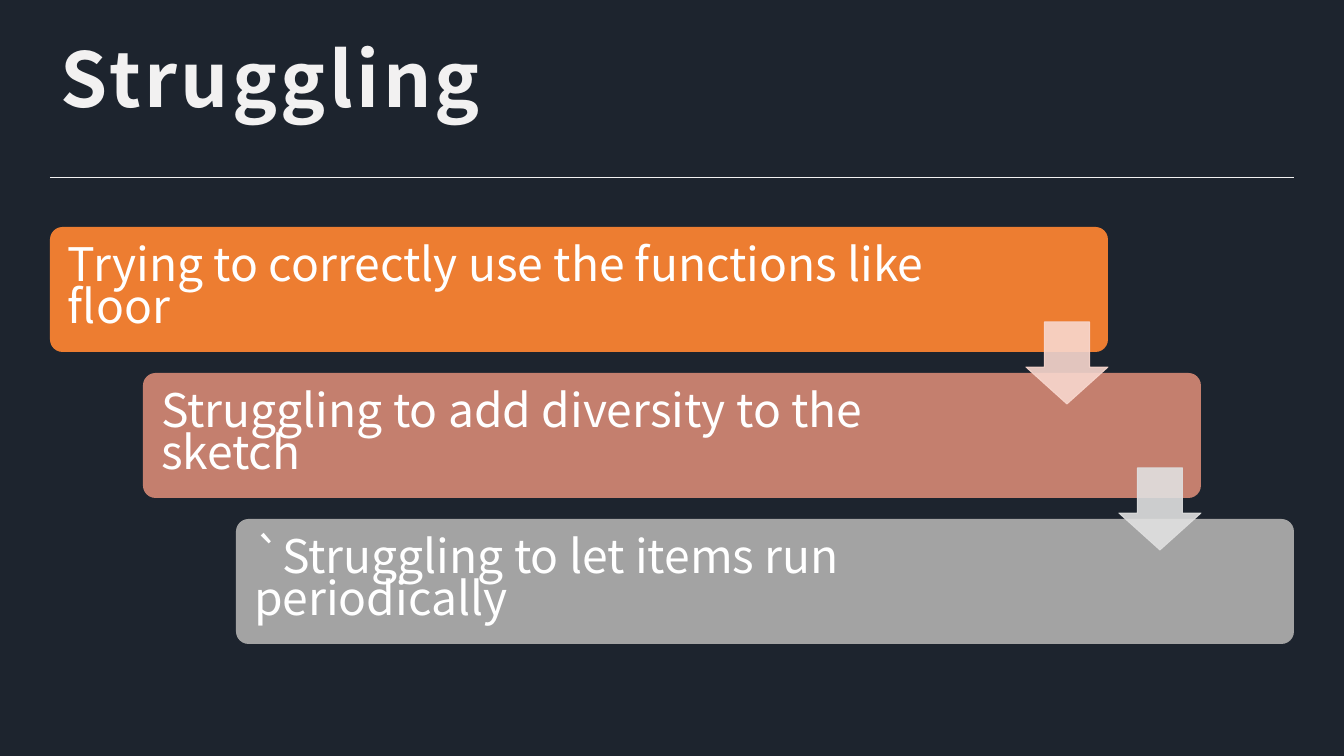
from lxml import etree
from pptx import Presentation
from pptx.dml.color import RGBColor
from pptx.enum.shapes import MSO_CONNECTOR, MSO_SHAPE
from pptx.enum.text import MSO_ANCHOR
from pptx.oxml.ns import qn
from pptx.util import Emu, Pt

ROUNDED = MSO_SHAPE.ROUNDED_RECTANGLE
DOWN_ARROW = MSO_SHAPE.DOWN_ARROW
STRAIGHT = MSO_CONNECTOR.STRAIGHT
MIDDLE, BOTTOM = MSO_ANCHOR.MIDDLE, MSO_ANCHOR.BOTTOM

THEME = {
    "font": "Noto Sans CJK SC",
    "background": "1D242E",
    "title": "F2F1F1",
    "text": "FFFFFF",
    "cards": ["ED7D31", "C47F6E", "A3A3A3"],
    "arrows": ["F8D7CE", "E0E0E0"],
    "title_size": 54,
    "text_size": 33,
    "rule_width": 0.5,
    "arrow_width": 0.75,
}
SCALE = 914400 / 100.8


def px(*values):
    return [Emu(round(v * SCALE)) for v in values]


def add_text(box, text, size, color, bold, anchor, spacing, insets):
    tf = slide.shapes.add_textbox(*px(*box)).text_frame
    left, top, right, bottom = px(*insets)
    frame_format = {
        "word_wrap": True, "vertical_anchor": anchor,
        "margin_left": left, "margin_top": top,
        "margin_right": right, "margin_bottom": bottom,
    }
    for name, value in frame_format.items():
        setattr(tf, name, value)
    p = tf.paragraphs[0]
    p.line_spacing = spacing
    r = p.add_run()
    r.text = text
    font_format = {"name": THEME["font"], "size": Pt(size), "bold": bold}
    for name, value in font_format.items():
        setattr(r.font, name, value)
    r.font.color.rgb = RGBColor.from_string(color)
    return r


prs = Presentation()
prs.slide_width, prs.slide_height = px(1344, 756)
slide = prs.slides.add_slide(prs.slide_layouts[6])
fill = slide.background.fill
fill.solid()
fill.fore_color.rgb = RGBColor.from_string(THEME["background"])

r = add_text((49, 25, 1246, 109), "Struggling", THEME["title_size"],
             THEME["title"], True, BOTTOM, 0.9, (12, 12, 12, 10))
r.font._element.set("spc", "250")

rule = slide.shapes.add_connector(STRAIGHT, *px(50, 177, 1294, 177))
rule.line.color.rgb = RGBColor.from_string(THEME["title"])
rule.line.width = Pt(THEME["rule_width"])
etree.SubElement(rule._element.spPr, qn("a:effectLst"))

STRUGGLES = [
    ("Trying to correctly use the functions like floor", 923),
    ("Struggling to add diversity to the sketch", 874),
    ("`Struggling to let items run periodically", 874),
]
CARD_LEFT, CARD_TOP, CARD_WIDTH, CARD_HEIGHT = 50, 227, 1058, 125
STEP_X, STEP_Y = 93, 146
ARROW_LEFT, ARROW_TOP, ARROW_SIZE = 1026, 322, 82

for i, (text, text_width) in enumerate(STRUGGLES):
    x, y = CARD_LEFT + i * STEP_X, CARD_TOP + i * STEP_Y
    sp = slide.shapes.add_shape(ROUNDED, *px(x, y, CARD_WIDTH, CARD_HEIGHT))
    sp.adjustments[0] = 0.1
    sp.shadow.inherit = False
    sp.fill.solid()
    sp.fill.fore_color.rgb = RGBColor.from_string(THEME["cards"][i])
    sp.line.fill.background()
    add_text((x + 4, y + 4, text_width, CARD_HEIGHT - 7), text,
             THEME["text_size"], THEME["text"], False, MIDDLE, 0.75, (14,) * 4)

for i, color in enumerate(THEME["arrows"]):
    x, y = ARROW_LEFT + i * STEP_X, ARROW_TOP + i * STEP_Y
    sp = slide.shapes.add_shape(DOWN_ARROW, *px(x, y, ARROW_SIZE, ARROW_SIZE))
    sp.adjustments[0], sp.adjustments[1] = 0.55, 0.45
    sp.shadow.inherit = False
    sp.line.width = Pt(THEME["arrow_width"])
    for paint in (sp.fill, sp.line.fill):
        paint.solid()
        paint.fore_color.rgb = RGBColor.from_string(color)
    for clr in sp._element.spPr.iter(qn("a:srgbClr")):
        etree.SubElement(clr, qn("a:alpha"), val="90000")

prs.save("out.pptx")
